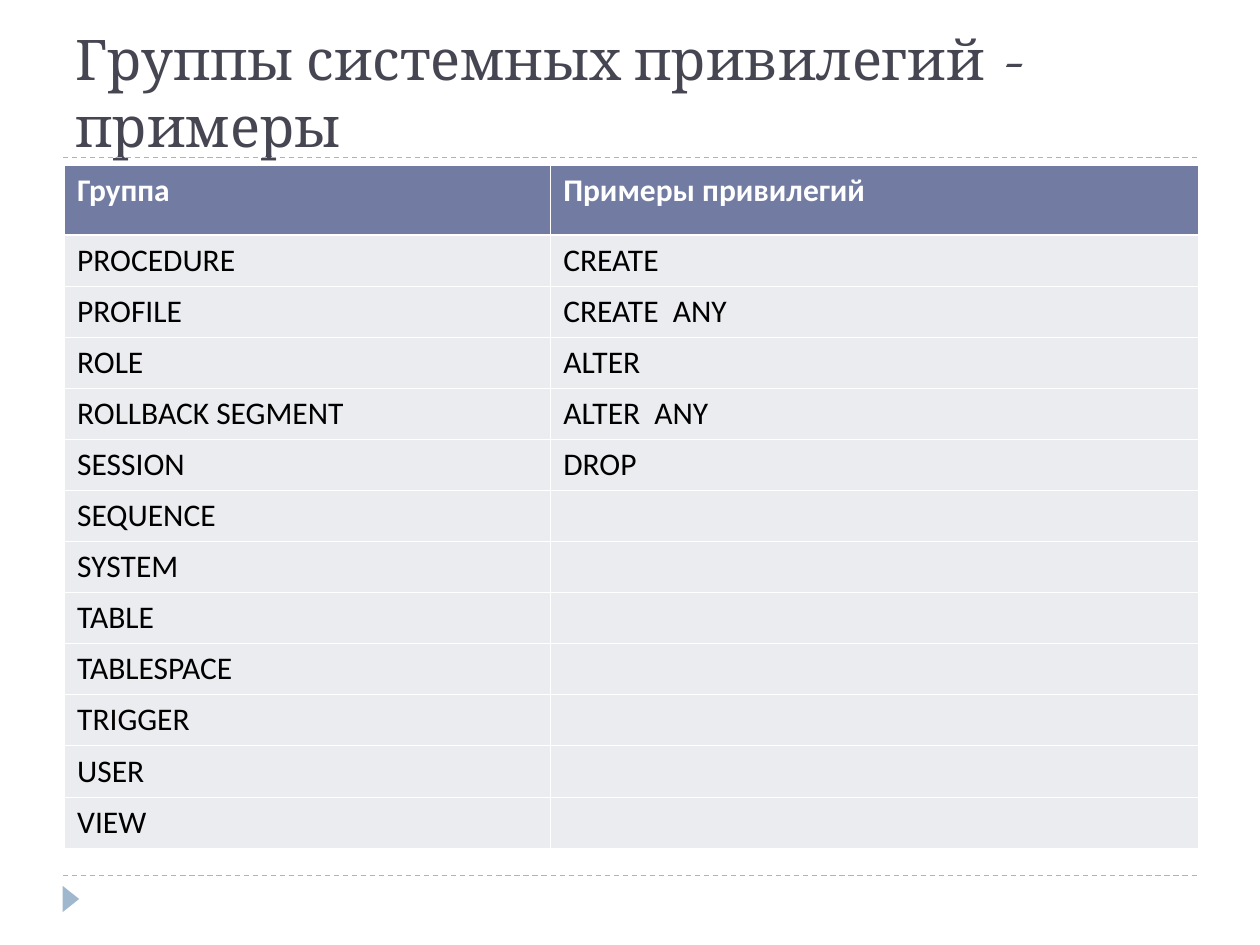
from itertools import zip_longest

from lxml import etree
from pptx import Presentation
from pptx.dml.color import RGBColor
from pptx.enum.dml import MSO_LINE
from pptx.enum.shapes import MSO_CONNECTOR, MSO_SHAPE
from pptx.enum.text import MSO_ANCHOR, MSO_AUTO_SIZE, PP_ALIGN
from pptx.oxml.ns import qn
from pptx.util import Pt

STRAIGHT = MSO_CONNECTOR.STRAIGHT
TRIANGLE = MSO_SHAPE.ISOSCELES_TRIANGLE
DASH = MSO_LINE.DASH
BOTTOM = MSO_ANCHOR.BOTTOM
NO_AUTOFIT = MSO_AUTO_SIZE.NONE
LEFT = PP_ALIGN.LEFT

WHITE = RGBColor(0xFF, 0xFF, 0xFF)
BLACK = RGBColor(0x00, 0x00, 0x00)
TITLE_GREY = RGBColor(0x46, 0x46, 0x53)
HEADER_BLUE = RGBColor(0x72, 0x7C, 0xA3)
ROW_GREY = RGBColor(0xEB, 0xEC, 0xF0)
ACCENT = RGBColor(0x9F, 0xB8, 0xCD)

# Content
TITLE = [
    ("Группы системных привилегий", "Cambria"),
    (" - ", "TeX Gyre Bonum"),
    ("примеры", "Cambria"),
]
HEADER = ("Группа", "Примеры привилегий")
GROUPS = [
    "PROCEDURE", "PROFILE", "ROLE", "ROLLBACK SEGMENT", "SESSION", "SEQUENCE",
    "SYSTEM", "TABLE", "TABLESPACE", "TRIGGER", "USER", "VIEW",
]
EXAMPLES = ["CREATE", "CREATE  ANY", "ALTER", "ALTER  ANY", "DROP"]
ROWS = [HEADER, *zip_longest(GROUPS, EXAMPLES, fillvalue="")]

# Layout in points
MARGIN, CONTENT_WIDTH = 36, 648
RULE_TOPS = (90, 500.4)
TABLE_LEFT, TABLE_TOP = 36.9, 94.6
COLUMN_WIDTHS = (277.8, 370.2)
HEADER_HEIGHT, ROW_HEIGHT = 39.6, 29.2
THIN, THICK = 0.45, 1.47


def add_rule(page, top):
    rule = page.shapes.add_connector(
        STRAIGHT, Pt(MARGIN), Pt(top), Pt(MARGIN + CONTENT_WIDTH), Pt(top))
    rule.line.color.rgb = ACCENT
    rule.line.width = Pt(0.75)
    rule.line.dash_style = DASH
    etree.SubElement(rule._element.spPr, qn("a:effectLst"))


def set_borders(cell, top, bottom):
    """Put white borders ahead of the cell's fill, as the schema requires."""
    properties = cell._tc.get_or_add_tcPr()
    sides = (("L", THIN), ("R", THIN), ("T", top), ("B", bottom))
    for index, (side, width) in enumerate(sides):
        border = etree.Element(qn(f"a:ln{side}"), w=str(Pt(width)))
        fill = etree.SubElement(border, qn("a:solidFill"))
        etree.SubElement(fill, qn("a:srgbClr"), val=str(WHITE))
        properties.insert(index, border)


def fill_cell(cell, text, row_index):
    is_header = row_index == 0
    cell.fill.solid()
    cell.fill.fore_color.rgb = HEADER_BLUE if is_header else ROW_GREY
    set_borders(cell, THICK if row_index == 1 else THIN,
                THICK if is_header else THIN)
    cell.text_frame.text = text
    font = cell.text_frame.paragraphs[0].font
    font.size = Pt(18)
    for span in cell.text_frame.paragraphs[0].runs:
        span.font.name = "Calibri"
        span.font.size = Pt(18)
        span.font.bold = is_header
        span.font.color.rgb = WHITE if is_header else BLACK


def add_title(page):
    title = page.shapes.title
    title.left, title.top = Pt(MARGIN), Pt(49)
    title.width, title.height = Pt(CONTENT_WIDTH), Pt(45.4)
    frame = title.text_frame
    frame.auto_size = NO_AUTOFIT
    frame.word_wrap = True
    frame.vertical_anchor = BOTTOM
    para = frame.paragraphs[0]
    para.alignment = LEFT
    for text, typeface in TITLE:
        span = para.add_run()
        span.text = text
        span.font.name = typeface
        span.font.size = Pt(32)
        span.font.color.rgb = TITLE_GREY


def add_privilege_table(page):
    height = HEADER_HEIGHT + ROW_HEIGHT * len(GROUPS)
    table = page.shapes.add_table(
        len(ROWS), len(HEADER), Pt(TABLE_LEFT), Pt(TABLE_TOP),
        Pt(sum(COLUMN_WIDTHS)), Pt(height)).table
    table.horz_banding = False
    for column, width in zip(table.columns, COLUMN_WIDTHS):
        column.width = Pt(width)
    for row_index, texts in enumerate(ROWS):
        table.rows[row_index].height = Pt(ROW_HEIGHT if row_index else HEADER_HEIGHT)
        for column_index, text in enumerate(texts):
            fill_cell(table.cell(row_index, column_index), text, row_index)


def main():
    deck = Presentation()
    deck.slide_width, deck.slide_height = Pt(720), Pt(540)
    page = deck.slides.add_slide(deck.slide_layouts[5])

    # Rules and corner marker
    for top in RULE_TOPS:
        add_rule(page, top)
    marker = page.shapes.add_shape(TRIANGLE, Pt(33), Pt(509), Pt(15), Pt(9.4))
    marker.rotation = 90
    marker.shadow.inherit = False
    marker.fill.solid()
    marker.fill.fore_color.rgb = ACCENT
    marker.line.fill.background()

    # Title and table
    add_title(page)
    add_privilege_table(page)
    deck.save("out.pptx")


if __name__ == "__main__":
    main()
